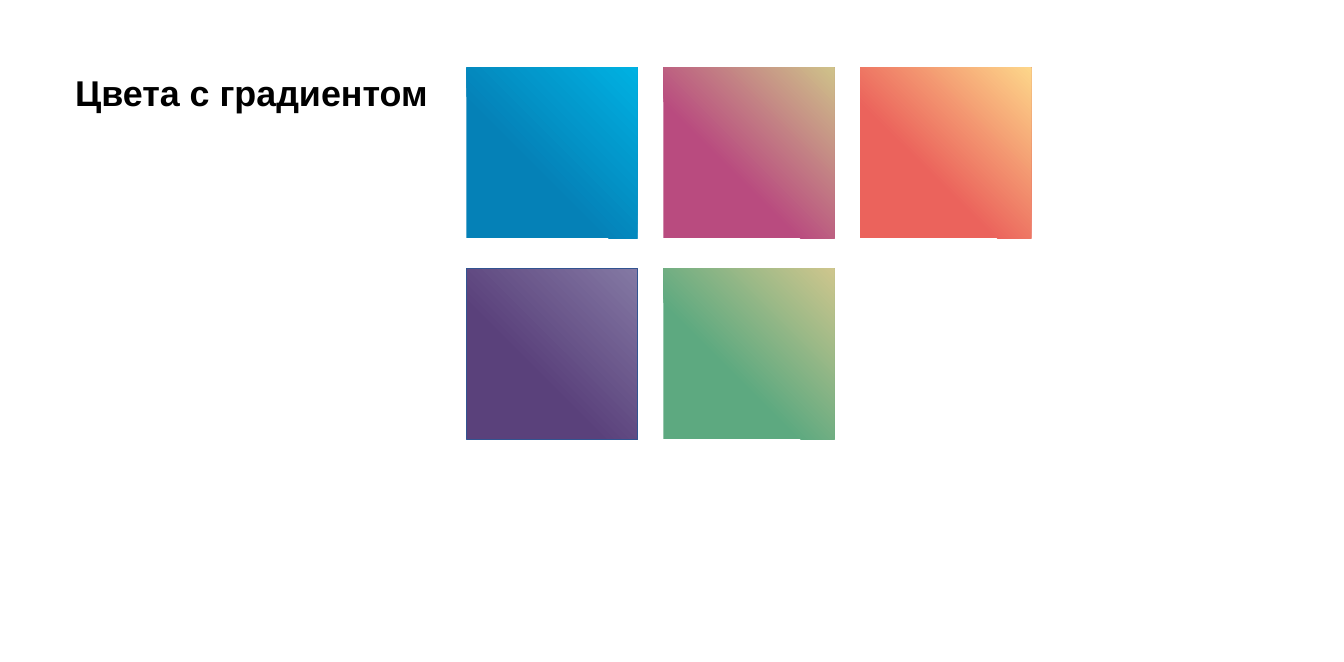
from pptx import Presentation
from pptx.dml.color import RGBColor
from pptx.enum.shapes import MSO_SHAPE
from pptx.enum.text import MSO_ANCHOR, MSO_AUTO_SIZE, PP_ALIGN
from pptx.util import Cm, Pt


def rgb(hex_color):
    return RGBColor.from_string(hex_color)


def write(frame, text, size=24, color="000000", bold=False, font="Arial"):
    frame.word_wrap = False
    frame.auto_size = MSO_AUTO_SIZE.SHAPE_TO_FIT_TEXT
    frame.vertical_anchor = MSO_ANCHOR.TOP
    paragraph = frame.paragraphs[0]
    paragraph.alignment = PP_ALIGN.LEFT
    run = paragraph.add_run()
    run.text = text
    run.font.name = font
    run.font.size = Pt(size)
    run.font.bold = bold
    run.font.color.rgb = rgb(color)


presentation = Presentation()
presentation.slide_width = Cm(31.75)
presentation.slide_height = Cm(15.65)
slide = presentation.slides.add_slide(presentation.slide_layouts[5])

heading = slide.shapes.title
heading.left, heading.top = Cm(1.52), Cm(1.55)
heading.width, heading.height = Cm(8.92), Cm(1.3)
write(heading.text_frame, "Цвета с градиентом", bold=True)

SWATCH_SIZE = 4.04
GRID_LEFT, GRID_TOP = 11.02, 1.6
COLUMN_STEP, ROW_STEP = 4.65, 4.75

# Start colour, end colour, outline colour
palette = [
    [("0581B7", "00B1E2", None), ("B94B7F", "CFC28A", None), ("EB635C", "FDD68A", None)],
    [("5A417B", "8479A4", "325491"), ("5DA980", "CEC68D", None)],
]

for row, swatches in enumerate(palette):
    for column, (start, end, outline) in enumerate(swatches):
        swatch = slide.shapes.add_shape(
            MSO_SHAPE.RECTANGLE,
            Cm(GRID_LEFT + column * COLUMN_STEP),
            Cm(GRID_TOP + row * ROW_STEP),
            Cm(SWATCH_SIZE),
            Cm(SWATCH_SIZE),
        )
        swatch.shadow.inherit = False
        swatch.fill.gradient()
        swatch.fill.gradient_angle = 45
        for stop, position, color in zip(swatch.fill.gradient_stops, (0.39, 1), (start, end)):
            stop.position = position
            stop.color.rgb = rgb(color)
        if outline:
            swatch.line.color.rgb = rgb(outline)
            swatch.line.width = Pt(1)
        else:
            swatch.line.fill.background()

presentation.save("out.pptx")
